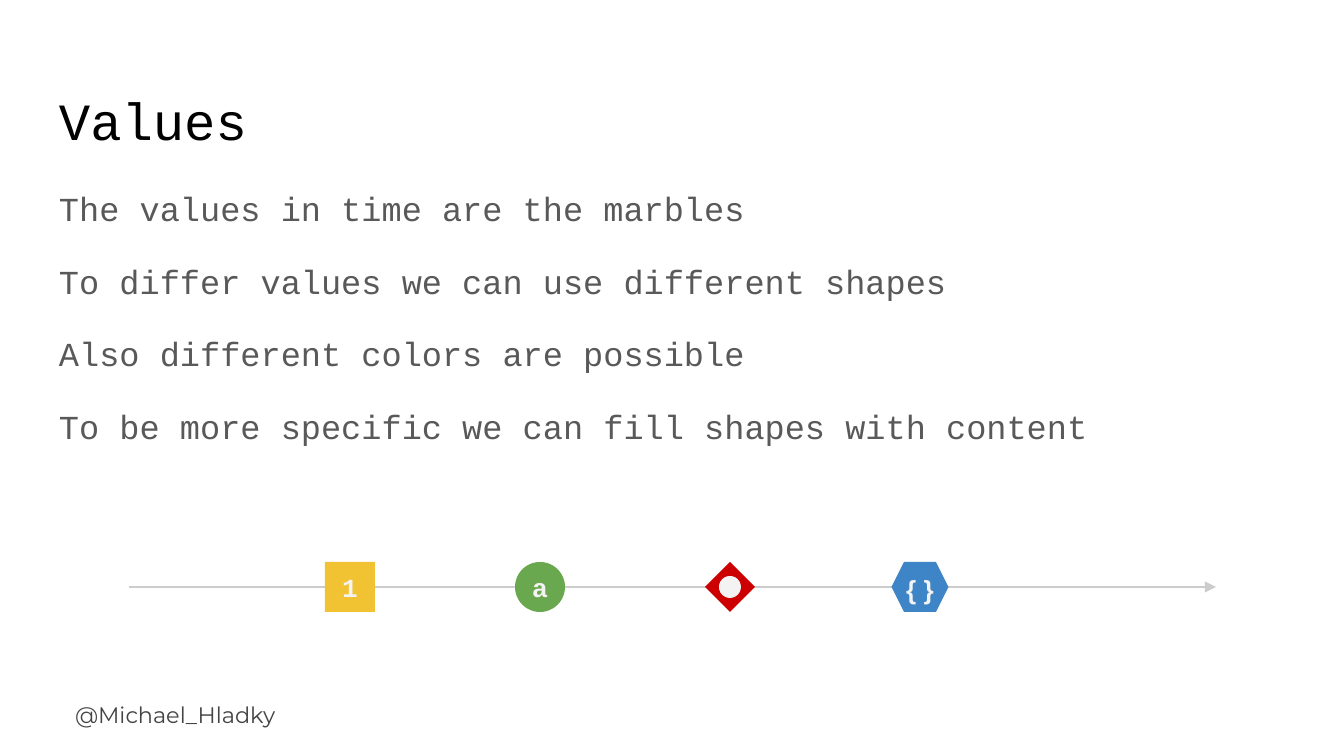
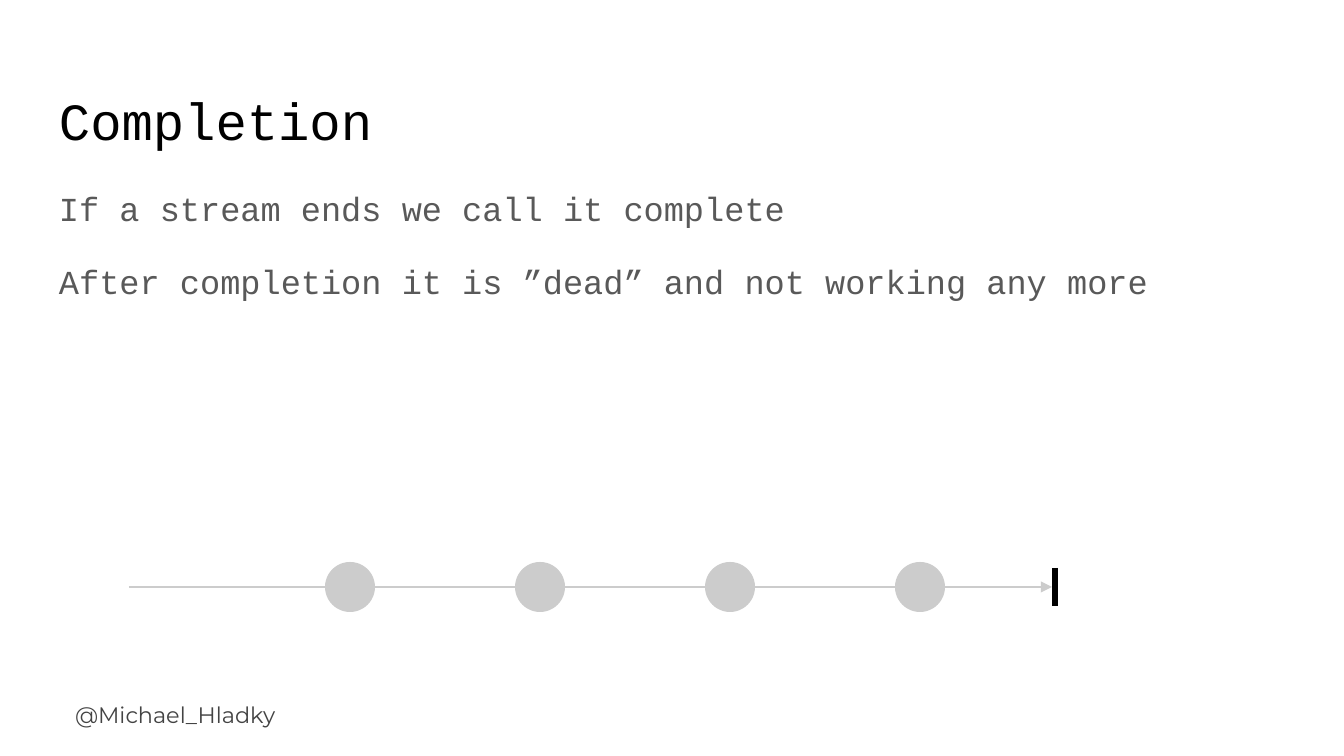
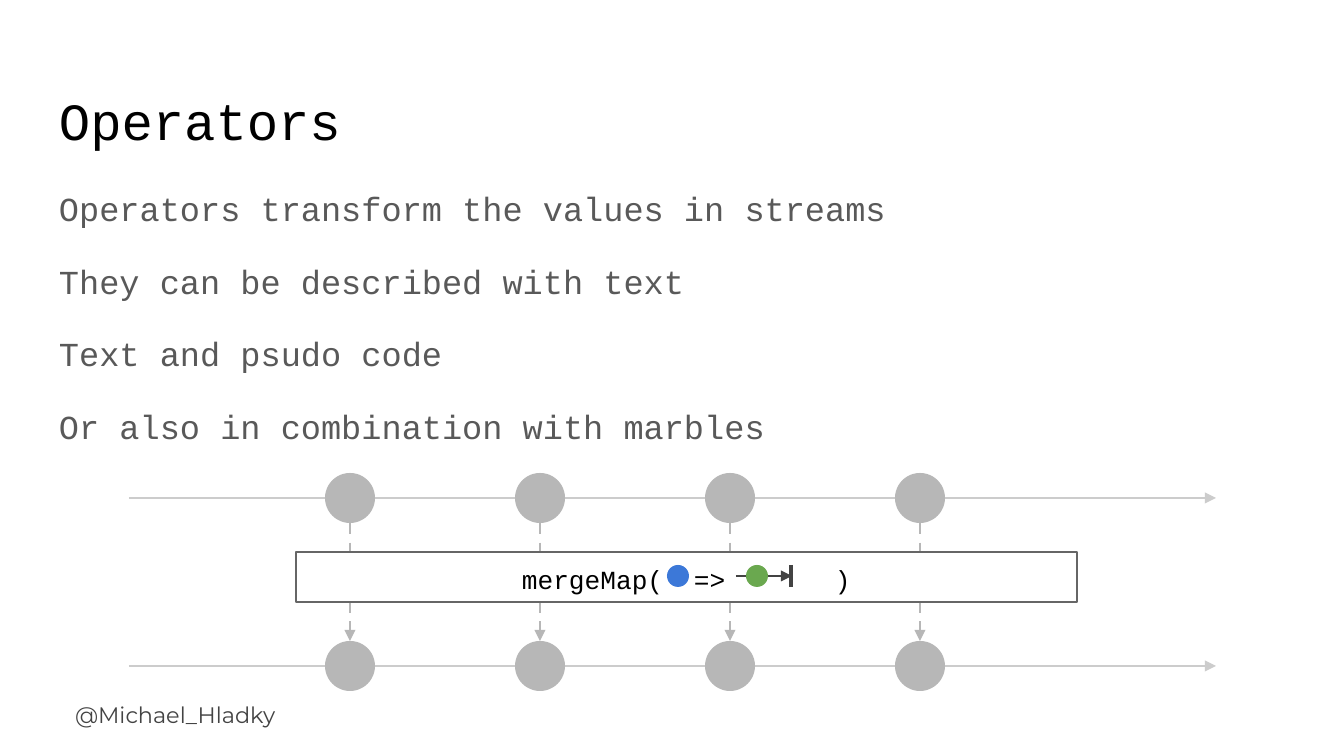
from lxml import etree
from pptx import Presentation
from pptx.dml.color import RGBColor
from pptx.enum.dml import MSO_LINE
from pptx.enum.shapes import MSO_CONNECTOR, MSO_SHAPE
from pptx.enum.text import MSO_ANCHOR, PP_ALIGN
from pptx.oxml.ns import qn
from pptx.util import Pt

PX = 914400 / 134.4

BLACK = RGBColor(0x00, 0x00, 0x00)
DARK = RGBColor(0x43, 0x43, 0x43)
TEXT = RGBColor(0x59, 0x59, 0x59)
EDGE = RGBColor(0x66, 0x66, 0x66)
GRAY = RGBColor(0xB7, 0xB7, 0xB7)
SILVER = RGBColor(0xCC, 0xCC, 0xCC)
PALE = RGBColor(0xF3, 0xF3, 0xF3)
WHITE = RGBColor(0xFF, 0xFF, 0xFF)
YELLOW = RGBColor(0xF1, 0xC2, 0x32)
GREEN = RGBColor(0x6A, 0xA8, 0x4F)
RED = RGBColor(0xCC, 0x00, 0x00)
BLUE = RGBColor(0x3D, 0x85, 0xC6)
COBALT = RGBColor(0x3C, 0x78, 0xD8)

MONO, SANS, BRAND = "Courier New", "Arial", "Montserrat"
OVAL, RECT = MSO_SHAPE.OVAL, MSO_SHAPE.RECTANGLE
DIAMOND, HEXAGON = MSO_SHAPE.DIAMOND, MSO_SHAPE.HEXAGON
STRAIGHT, DASH = MSO_CONNECTOR.STRAIGHT, MSO_LINE.DASH
LEFT, CENTER = PP_ALIGN.LEFT, PP_ALIGN.CENTER
TOP, MIDDLE = MSO_ANCHOR.TOP, MSO_ANCHOR.MIDDLE

# Timeline grid
START, END = 129, 1216
STOPS = [350 + 190 * i for i in range(4)]
SIZE, DOT = 50, 22
AXIS = 587


def put(shapes, box, *lines, kind=None, fill=None, edge=None, font=MONO, size=14,
        color=BLACK, bold=False, align=LEFT, anchor=TOP, pad=13, left=None,
        space=1.0, gap=0, tabs=()):
    """Add a text box, or a preset shape when kind is given, with one paragraph a line."""
    box = [round(n * PX) for n in box]
    if kind is None:
        item = shapes.add_textbox(*box)
    else:
        item = shapes.add_shape(kind, *box)
        item.shadow.inherit = False
        item.fill.solid()
        item.fill.fore_color.rgb = fill
        if edge is None:
            item.line.fill.background()
        else:
            item.line.color.rgb = edge
            item.line.width = Pt(0.75)
    if not lines:
        return
    frame = item.text_frame
    frame.word_wrap = True
    frame.vertical_anchor = anchor
    frame.margin_top = frame.margin_right = frame.margin_bottom = round(pad * PX)
    frame.margin_left = round((pad if left is None else left) * PX)
    for i, line in enumerate(lines):
        para = frame.add_paragraph() if i else frame.paragraphs[0]
        para.alignment = align
        para.line_spacing = space
        para.space_before = Pt(gap if i else 0)
        run = para.add_run()
        run.text = line
        run.font.name = font
        run.font.size = Pt(size)
        run.font.bold = bold
        run.font.color.rgb = color
        if tabs:
            stops = etree.SubElement(para._p.get_or_add_pPr(), qn("a:tabLst"))
            for tab in tabs:
                etree.SubElement(stops, qn("a:tab"), pos=str(round(tab * PX)), algn="l")


def link(shapes, x1, y1, x2, y2, color=SILVER, width=1.5, dash=None, arrow=True):
    ends = [round(n * PX) for n in (x1, y1, x2, y2)]
    item = shapes.add_connector(STRAIGHT, *ends)
    item.line.color.rgb = color
    item.line.width = Pt(width)
    if dash:
        item.line.dash_style = dash
    if arrow:
        etree.SubElement(item.line._get_or_add_ln(), qn("a:tailEnd"), type="triangle")
    etree.SubElement(item._element.spPr, qn("a:effectLst"))


deck = Presentation()
deck.slide_width = round(1344 * PX)
deck.slide_height = round(756 * PX)

PAGES = [
    ("Values", [
        "The values in time are the marbles",
        "To differ values we can use different shapes",
        "Also different colors are possible",
        "To be more specific we can fill shapes with content",
    ]),
    ("Completion", [
        "If a stream ends we call it complete",
        "After completion it is ”dead” and not working any more",
    ]),
    ("Operators", [
        "Operators transform the values in streams",
        "They can be described with text",
        "Text and psudo code",
        "Or also in combination with marbles",
    ]),
]
boards = []
for title, body in PAGES:
    slide = deck.slides.add_slide(deck.slide_layouts[6])
    put(slide.shapes, (62, 688, 301, 60), "@Michael_Hladky", font=BRAND, size=12, color=DARK)
    put(slide.shapes, (46, 169, 1252, 503), *body, size=18, color=TEXT, space=1.15, gap=14)
    put(slide.shapes, (46, 66, 1160, 85), title, size=28, space=1.15)
    boards.append(slide.shapes)
values, finish, flow = boards

# Values: one marble of each form
link(values, START, AXIS, END, AXIS)
MARBLES = [
    (RECT, YELLOW, SIZE, "1", MONO, 1.0),
    (OVAL, GREEN, SIZE, "a", SANS, 1.0),
    (DIAMOND, RED, SIZE, None, SANS, 1.0),
    (HEXAGON, BLUE, 57, "{ }", SANS, 1.15),
]
for x, (kind, fill, width, mark, font, space) in zip(STOPS, MARBLES):
    put(values, (x - width / 2, AXIS - SIZE / 2, width, SIZE), *([mark] if mark else []),
        kind=kind, fill=fill, font=font, color=PALE, bold=True, align=CENTER,
        anchor=MIDDLE, pad=0, space=space)
put(values, (STOPS[2] - DOT / 2, AXIS - DOT / 2, DOT, DOT), kind=OVAL, fill=PALE)

# Completion: a stream that stops at a bar
link(finish, START, AXIS, 1052, AXIS)
for x in STOPS:
    put(finish, (x - SIZE / 2, AXIS - SIZE / 2, SIZE, SIZE), kind=OVAL, fill=SILVER)
link(finish, 1055, 568, 1055, 606, color=BLACK, width=3, arrow=False)

# Operators: source stream, operator box, result stream
SOURCE, RESULT = 498, 666
for y in (SOURCE, RESULT):
    link(flow, START, y, END, y)
    for x in STOPS:
        put(flow, (x - SIZE / 2, y - SIZE / 2, SIZE, SIZE), kind=OVAL, fill=GRAY)
for x in STOPS:
    link(flow, x, SOURCE + SIZE / 2, x, RESULT - SIZE / 2, color=GRAY, dash=DASH)

group = flow.add_group_shape().shapes
MID = 576
put(group, (296, 552, 781, 50), "mergeMap(\t=>\t)", kind=RECT, fill=WHITE, edge=EDGE,
    anchor=MIDDLE, left=226, space=1.15, tabs=(172, 313))
link(group, 736, MID, 792, MID, color=DARK)
link(group, 791, MID - 11, 791, MID + 11, color=DARK, width=2.25, arrow=False)
for x, fill in ((678, COBALT), (757, GREEN)):
    put(group, (x - DOT / 2, MID - DOT / 2, DOT, DOT), kind=OVAL, fill=fill)

deck.save("out.pptx")
